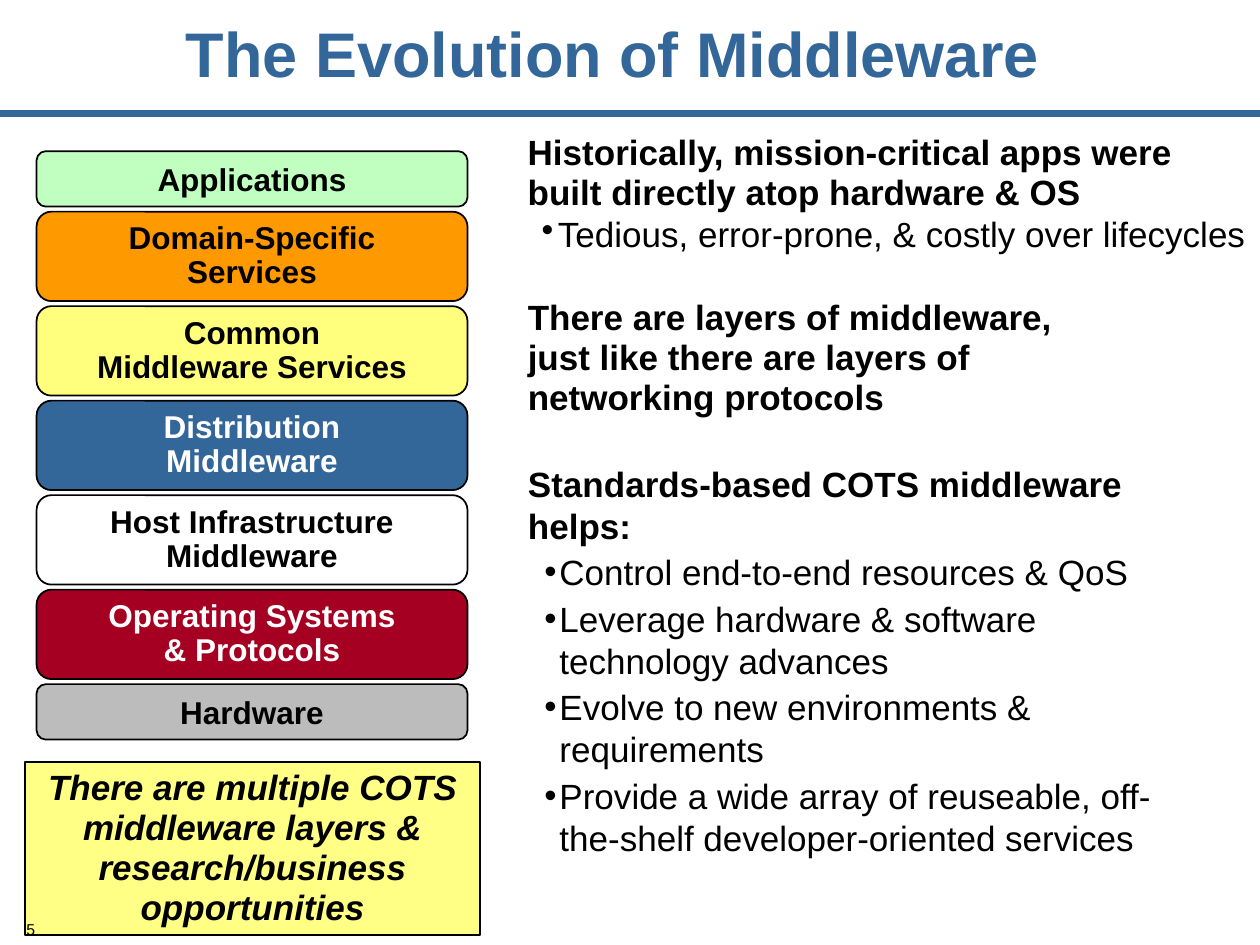
from dataclasses import dataclass

from lxml import etree
from pptx import Presentation
from pptx import util as u
from pptx.dml.color import RGBColor
from pptx.enum import shapes, text
from pptx.oxml import ns


@dataclass(frozen=True)
class Theme:
    font: str = "Arial"
    blue: str = "336699"
    black: str = "000000"
    white: str = "FFFFFF"
    green: str = "C1FFC1"
    orange: str = "FF9900"
    yellow: str = "FFFF7D"
    note: str = "FFFF85"
    red: str = "A50021"
    gray: str = "BCBCBC"
    title_size: float = 36
    body_size: float = 20
    layer_size: float = 18
    number_size: float = 9
    outline: float = 1
    rule: float = 3.75


class SlideBuilder:
    def __init__(self, slide, theme):
        self.slide = slide
        self.theme = theme

    def place(self, shape, box):
        for name, value in zip(("left", "top", "width", "height"), box):
            setattr(shape, name, u.Inches(value))

    def frame(self, shape, anchor=text.MSO_ANCHOR.TOP, inset=None):
        frame = shape.text_frame
        values = {"word_wrap": True, "auto_size": text.MSO_AUTO_SIZE.NONE,
                  "vertical_anchor": anchor}
        if inset is not None:
            for side in ("left", "top", "right", "bottom"):
                values[f"margin_{side}"] = u.Inches(inset)
        for name, value in values.items():
            setattr(frame, name, value)
        return frame

    def bullet(self, paragraph, margin, indent):
        properties = paragraph._p.get_or_add_pPr()
        properties.set("marL", str(u.Inches(margin)))
        properties.set("indent", str(u.Inches(indent)))
        if indent:
            mark = etree.SubElement(properties, ns.qn("a:buChar"))
            mark.set("char", "•")
        else:
            etree.SubElement(properties, ns.qn("a:buNone"))

    def fill_paragraph(self, paragraph, words, size, color=None,
                       align=text.PP_ALIGN.LEFT, spacing=1.0, before=0,
                       bold=False, italic=False):
        layout = {"alignment": align, "line_spacing": spacing,
                  "space_before": u.Pt(before), "space_after": u.Pt(0)}
        for name, value in layout.items():
            setattr(paragraph, name, value)
        run = paragraph.add_run()
        run.text = words
        style = {"name": self.theme.font, "size": u.Pt(size),
                 "bold": bold, "italic": italic}
        for name, value in style.items():
            setattr(run.font, name, value)
        run.font.color.rgb = RGBColor.from_string(color or self.theme.black)

    def rule(self, top):
        line = self.slide.shapes.add_connector(
            shapes.MSO_CONNECTOR.STRAIGHT, 0, u.Inches(top), u.Inches(10), u.Inches(top))
        line.line.color.rgb = RGBColor.from_string(self.theme.blue)
        line.line.width = u.Pt(self.theme.rule)
        etree.SubElement(line._element.spPr, ns.qn("a:effectLst"))

    def title(self, words, box):
        title = self.slide.shapes.title
        self.place(title, box)
        frame = self.frame(title, text.MSO_ANCHOR.MIDDLE)
        self.fill_paragraph(frame.paragraphs[0], words, self.theme.title_size,
                            self.theme.blue, text.PP_ALIGN.CENTER, 0.85, bold=True)

    def body(self, heading, items, box):
        body = self.slide.placeholders[1]
        self.place(body, box)
        frame = self.frame(body)
        first = frame.paragraphs[0]
        self.bullet(first, 0, 0)
        self.fill_paragraph(first, heading, self.theme.body_size, bold=True)
        for item in items:
            paragraph = frame.add_paragraph()
            paragraph.level = 1
            self.bullet(paragraph, 0.25, -0.12)
            self.fill_paragraph(paragraph, item, self.theme.body_size, before=2.5)

    def textbox(self, words, box, size, bulleted=False, inset=None, **style):
        shape = self.slide.shapes.add_textbox(*map(u.Inches, box))
        paragraph = self.frame(shape, inset=inset).paragraphs[0]
        if bulleted:
            self.bullet(paragraph, 0.13, -0.13)
        self.fill_paragraph(paragraph, words, size, **style)

    def panel(self, kind, lines, box, fill, size, **style):
        shape = self.slide.shapes.add_shape(kind, *map(u.Inches, box))
        shape.shadow.inherit = False
        shape.fill.solid()
        shape.fill.fore_color.rgb = RGBColor.from_string(fill)
        shape.line.color.rgb = RGBColor.from_string(self.theme.black)
        shape.line.width = u.Pt(self.theme.outline)
        frame = self.frame(shape, text.MSO_ANCHOR.MIDDLE)
        for index, words in enumerate(lines):
            paragraph = frame.add_paragraph() if index else frame.paragraphs[0]
            self.fill_paragraph(paragraph, words, size, align=text.PP_ALIGN.CENTER,
                                bold=True, **style)

    def layers(self, stack, left, top, width, gap):
        for lines, fill, color in stack:
            height = 0.71 if len(lines) > 1 else 0.44
            self.panel(shapes.MSO_SHAPE.ROUNDED_RECTANGLE, lines,
                       (left, top, width, height), fill, self.theme.layer_size,
                       color=color, spacing=0.9 if len(lines) > 1 else 1.0)
            top += height + gap


def main():
    presentation = Presentation()
    presentation.slide_width = u.Inches(10)
    presentation.slide_height = u.Inches(7.5)
    theme = Theme()
    slide = presentation.slides.add_slide(presentation.slide_layouts[1])
    builder = SlideBuilder(slide, theme)

    builder.rule(0.9)
    builder.title("The Evolution of Middleware", (0, -0.04, 9.73, 1))
    builder.panel(
        shapes.MSO_SHAPE.RECTANGLE,
        ["There are multiple COTS middleware layers & research/business opportunities"],
        (0.2, 6.05, 3.61, 1.37), theme.note, theme.body_size, spacing=0.95, italic=True)
    builder.textbox(
        "Historically, mission-critical apps were built directly atop hardware & OS",
        (4.09, 1.01, 5.57, 0.74), theme.body_size, spacing=0.95, bold=True)
    builder.textbox("Tedious, error-prone, & costly over lifecycles",
                    (4.2, 1.66, 5.8, 0.42), theme.body_size, bulleted=True, spacing=0.95)
    builder.textbox(
        "There are layers of middleware, just like there are layers of networking protocols",
        (4.09, 2.32, 4.78, 1.05), theme.body_size, spacing=0.95, bold=True)
    builder.body(
        "Standards-based COTS middleware helps:",
        ["Control end-to-end resources & QoS",
         "Leverage hardware & software technology advances",
         "Evolve to new environments & requirements",
         "Provide a wide array of reuseable, off-the-shelf developer-oriented services"],
        (4.09, 3.62, 5.37, 3.24))
    builder.layers([
        (["Applications"], theme.green, theme.black),
        (["Domain-Specific", "Services"], theme.orange, theme.black),
        (["Common", "Middleware Services"], theme.yellow, theme.black),
        (["Distribution", "Middleware"], theme.blue, theme.white),
        (["Host Infrastructure", "Middleware"], theme.white, theme.black),
        (["Operating Systems", "& Protocols"], theme.red, theme.white),
        (["Hardware"], theme.gray, theme.black),
    ], left=0.29, top=1.2, width=3.42, gap=0.04)
    builder.textbox("5", (0, 7.32, 0.28, 0.14), theme.number_size, inset=0,
                    align=text.PP_ALIGN.RIGHT, spacing=0.9)

    presentation.save("out.pptx")


if __name__ == "__main__":
    main()
